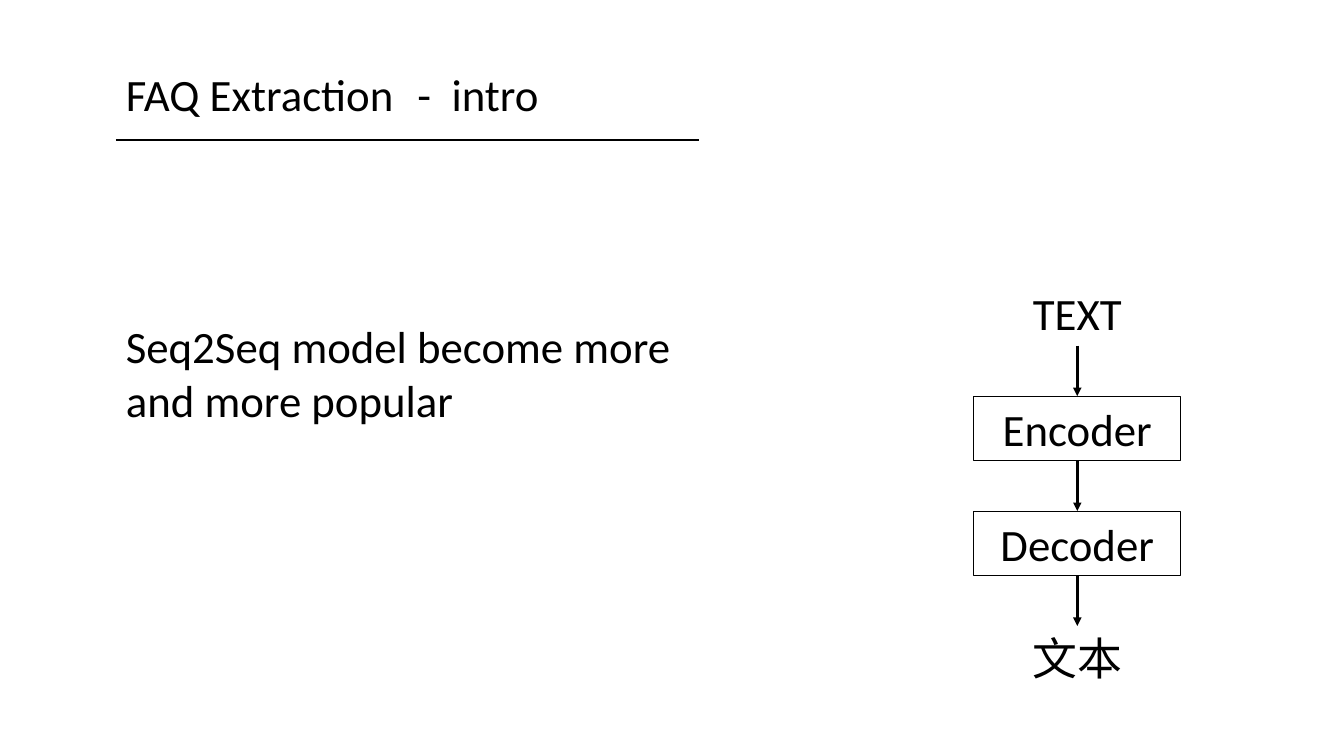
"""Build the FAQ Extraction intro slide."""
from dataclasses import dataclass

import lxml.etree
import pptx
import pptx.dml.color
import pptx.enum.shapes
import pptx.enum.text
import pptx.oxml.ns
import pptx.util

Inches = pptx.util.Inches
Pt = pptx.util.Pt
qn = pptx.oxml.ns.qn
ALIGN = pptx.enum.text.PP_ALIGN


@dataclass(frozen=True)
class Theme:
    """Colours, font and sizes of the slide."""
    ink: pptx.dml.color.RGBColor = pptx.dml.color.RGBColor(0, 0, 0)
    font: str = "Calibri"
    size: float = 32
    rule: float = 2
    outline: float = 0.75


THEME = Theme()


def write(sp, text, align=ALIGN.LEFT, tab=None):
    """Put one paragraph into a shape, with an optional tab stop in inches."""
    tf = sp.text_frame
    tf.word_wrap = True
    p = tf.paragraphs[0]
    p.text = text
    p.alignment = align
    if tab:
        tabs = lxml.etree.SubElement(p._p.get_or_add_pPr(), qn("a:tabLst"))
        lxml.etree.SubElement(tabs, qn("a:tab"), pos=str(Inches(tab)), algn="l")
    p.font.name = THEME.font
    p.font.size = Pt(THEME.size)
    p.font.color.rgb = THEME.ink


def add_text(s, x, y, w, h, text, **style):
    """Add a text box."""
    sp = s.shapes.add_textbox(Inches(x), Inches(y), Inches(w), Inches(h))
    write(sp, text, **style)


def add_box(s, x, y, w, h, text):
    """Add an outlined, unfilled box with a centred label."""
    rect = pptx.enum.shapes.MSO_SHAPE.RECTANGLE
    sp = s.shapes.add_shape(rect, Inches(x), Inches(y), Inches(w), Inches(h))
    sp.shadow.inherit = False
    sp.fill.background()
    sp.line.color.rgb = THEME.ink
    sp.line.width = Pt(THEME.outline)
    write(sp, text, align=ALIGN.CENTER)


def add_line(s, x1, y1, x2, y2, arrow=False):
    """Add a straight line, with an arrowhead at its end if asked."""
    straight = pptx.enum.shapes.MSO_CONNECTOR.STRAIGHT
    cx = s.shapes.add_connector(straight, Inches(x1), Inches(y1), Inches(x2), Inches(y2))
    cx.line.color.rgb = THEME.ink
    cx.line.width = Pt(THEME.rule)
    if arrow:
        lxml.etree.SubElement(cx.line._get_or_add_ln(), qn("a:tailEnd"), type="triangle")
    lxml.etree.SubElement(cx._element.spPr, qn("a:effectLst"))


def add_heading(s, x, y, w):
    """Place the title, its suffix and the rule below them."""
    topic_w = 2.89
    add_line(s, x, y + 0.78, x + w, y + 0.78)
    add_text(s, x, y, topic_w, 0.64, "FAQ Extraction")
    add_text(s, x + topic_w, y, 6.41, 0.64, "-\tintro", tab=0.34)


def add_pipeline(s, x, y, w):
    """Stack the model stages downwards, joined by arrows."""
    stage_h, gap, label_w = 0.64, 0.5, 1.15
    center = x + w / 2
    stages = [("TEXT", False), ("Encoder", True), ("Decoder", True), ("文本", False)]
    for i, (name, boxed) in enumerate(stages):
        top = y + i * (stage_h + gap)
        if boxed:
            add_box(s, x, top, w, stage_h, name)
        else:
            add_text(s, center - label_w / 2, top, label_w, stage_h, name, align=ALIGN.CENTER)
        if i:
            add_line(s, center, top - gap, center, top, arrow=True)


def main():
    """Build and save the slide."""
    prs = pptx.Presentation()
    prs.slide_width, prs.slide_height = Inches(13.33), Inches(7.5)
    s = prs.slides.add_slide(prs.slide_layouts[6])
    left, column_w = 1.15, 5.78
    add_heading(s, left, 0.61, column_w)
    add_text(s, left, 3.11, column_w, 1.18, "Seq2Seq model become more and more popular")
    add_pipeline(s, 9.66, 2.79, 2.05)
    prs.save("out.pptx")


if __name__ == "__main__":
    main()
